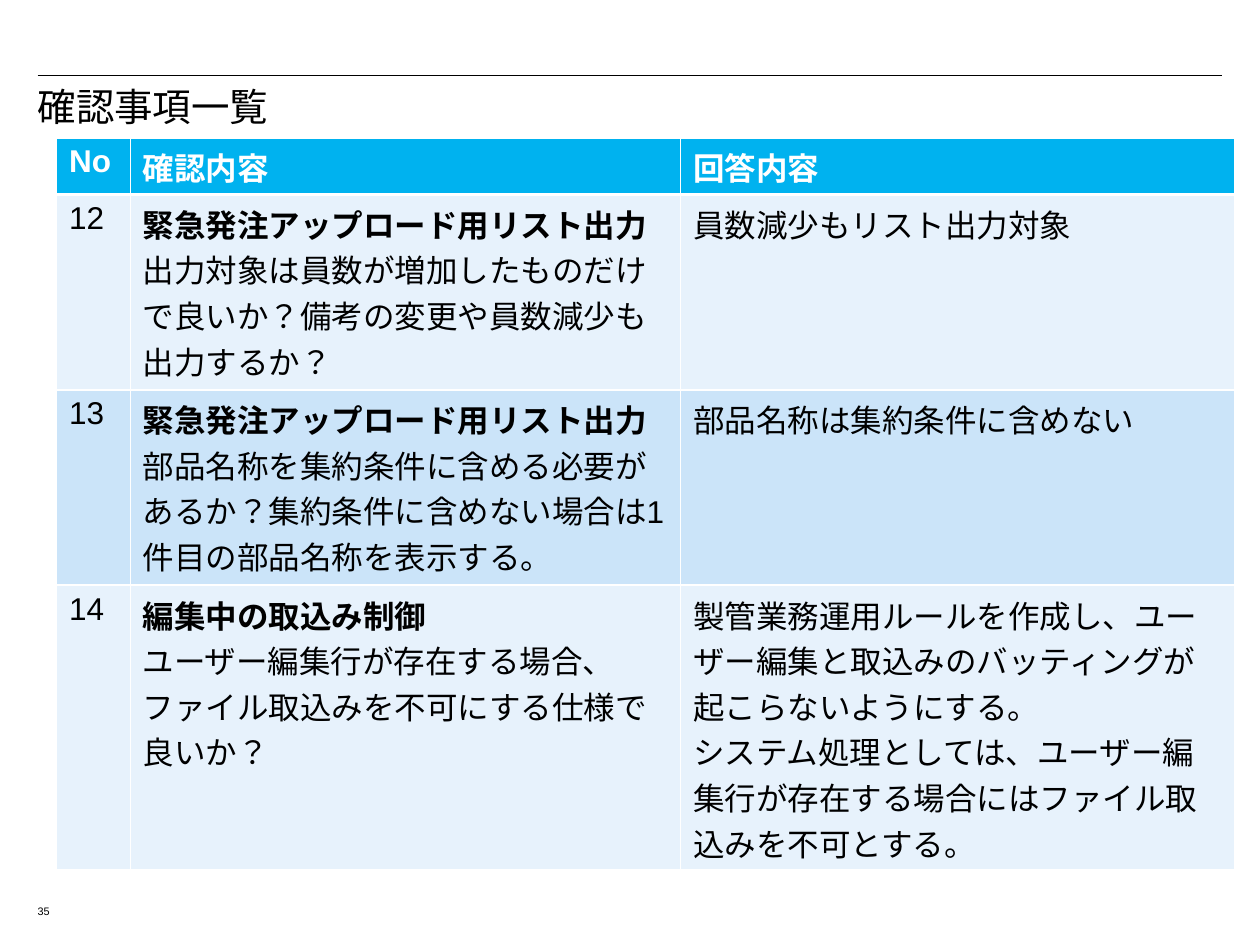
from lxml import etree
from pptx import Presentation
from pptx.dml.color import RGBColor
from pptx.enum.lang import MSO_LANGUAGE_ID
from pptx.enum.shapes import MSO_CONNECTOR
from pptx.enum.text import MSO_ANCHOR
from pptx.oxml.ns import qn
from pptx.util import Cm, Pt

STRAIGHT = MSO_CONNECTOR.STRAIGHT
TOP = MSO_ANCHOR.TOP
JAPANESE = MSO_LANGUAGE_ID.JAPANESE
FONT = "Arial"
COLORS = {
    "text": "000000",
    "white": "FFFFFF",
    "header": "00B2EF",
    "odd": "E7F2FC",
    "even": "CBE4F9",
}
BORDERS = {"lnL": 0.45, "lnR": 0.45, "lnT": 1.47, "lnB": 1.47}

COL_WIDTHS = [1.48, 11.1, 11.17]
ROW_HEIGHTS = [1.15, 3.94, 3.94, 5.75]
HEADERS = ["No", "確認内容", "回答内容"]
# Number, topic, question, answer paragraphs
ITEMS = [
    ("12", "緊急発注アップロード用リスト出力",
     "出力対象は員数が増加したものだけで良いか？備考の変更や員数減少も出力するか？",
     ["員数減少もリスト出力対象"]),
    ("13", "緊急発注アップロード用リスト出力",
     "部品名称を集約条件に含める必要があるか？集約条件に含めない場合は1件目の部品名称を表示する。",
     ["部品名称は集約条件に含めない"]),
    ("14", "編集中の取込み制御",
     "ユーザー編集行が存在する場合、ファイル取込みを不可にする仕様で良いか？",
     ["製管業務運用ルールを作成し、ユーザー編集と取込みのバッティングが起こらないようにする。",
      "システム処理としては、ユーザー編集行が存在する場合にはファイル取込みを不可とする。"]),
]


def rgb(name):
    return RGBColor.from_string(COLORS[name])


def write(p, text, size=18, color="text", bold=False, spacing=None):
    r = p.add_run()
    r.text = text
    r.font.name = FONT
    r.font.size = Pt(size)
    r.font.bold = bold
    r.font.color.rgb = rgb(color)
    r.font.language_id = JAPANESE
    if spacing:
        p.line_spacing = spacing


def add_label(s, text, x, y, w, h, **fmt):
    tf = s.shapes.add_textbox(Cm(x), Cm(y), Cm(w), Cm(h)).text_frame
    tf.word_wrap = True
    tf.vertical_anchor = TOP
    write(tf.paragraphs[0], text, **fmt)


def add_heading(s, x, y, w):
    # Rule above the title
    line = s.shapes.add_connector(STRAIGHT, Cm(x + 0.25), Cm(y),
                                  Cm(x + 0.25 + w), Cm(y))
    line.line.color.rgb = rgb("text")
    line.line.width = Pt(0.75)
    etree.SubElement(line._element.spPr, qn("a:effectLst"))
    # Title
    add_label(s, "確認事項一覧", x, y + 0.13, w + 0.63, 1.45,
              size=22, spacing=0.9)


def set_borders(cell):
    tcPr = cell._tc.get_or_add_tcPr()
    for i, (tag, width) in enumerate(BORDERS.items()):
        ln = etree.Element(qn(f"a:{tag}"), w=str(Pt(width)))
        fill = etree.SubElement(ln, qn("a:solidFill"))
        etree.SubElement(fill, qn("a:srgbClr"), val=COLORS["white"])
        tcPr.insert(i, ln)


def fill_cell(cell, fill, paragraphs):
    """paragraphs: list of (text, format) pairs."""
    cell.fill.solid()
    cell.fill.fore_color.rgb = rgb(fill)
    set_borders(cell)
    tf = cell.text_frame
    for i, (text, fmt) in enumerate(paragraphs):
        write(tf.add_paragraph() if i else tf.paragraphs[0], text, **fmt)


def add_items_table(s, x, y):
    table = s.shapes.add_table(
        len(ROW_HEIGHTS), len(COL_WIDTHS), Cm(x), Cm(y),
        Cm(sum(COL_WIDTHS)), Cm(sum(ROW_HEIGHTS))).table
    for col, width in zip(table.columns, COL_WIDTHS):
        col.width = Cm(width)
    for row, height in zip(table.rows, ROW_HEIGHTS):
        row.height = Cm(height)

    # Header row
    for c, text in enumerate(HEADERS):
        fill_cell(table.cell(0, c), "header",
                  [(text, {"color": "white", "bold": True})])

    # Item rows in alternating colours
    for i, (no, topic, question, answers) in enumerate(ITEMS, start=1):
        fill = "odd" if i % 2 else "even"
        contents = [
            [(no, {})],
            [(topic, {"bold": True}), (question, {})],
            [(answer, {}) for answer in answers],
        ]
        for c, paragraphs in enumerate(contents):
            fill_cell(table.cell(i, c), fill, paragraphs)


def main():
    prs = Presentation()
    prs.slide_width, prs.slide_height = Cm(25.4), Cm(19.05)
    s = prs.slides.add_slide(prs.slide_layouts[6])
    add_heading(s, 0.51, 1.52, 23.88)
    add_items_table(s, 1.14, 2.77)
    # Page number
    add_label(s, "35", 0.51, 18.16, 1.02, 0.51, size=6.2, spacing=0.8)
    prs.save("out.pptx")


if __name__ == "__main__":
    main()
